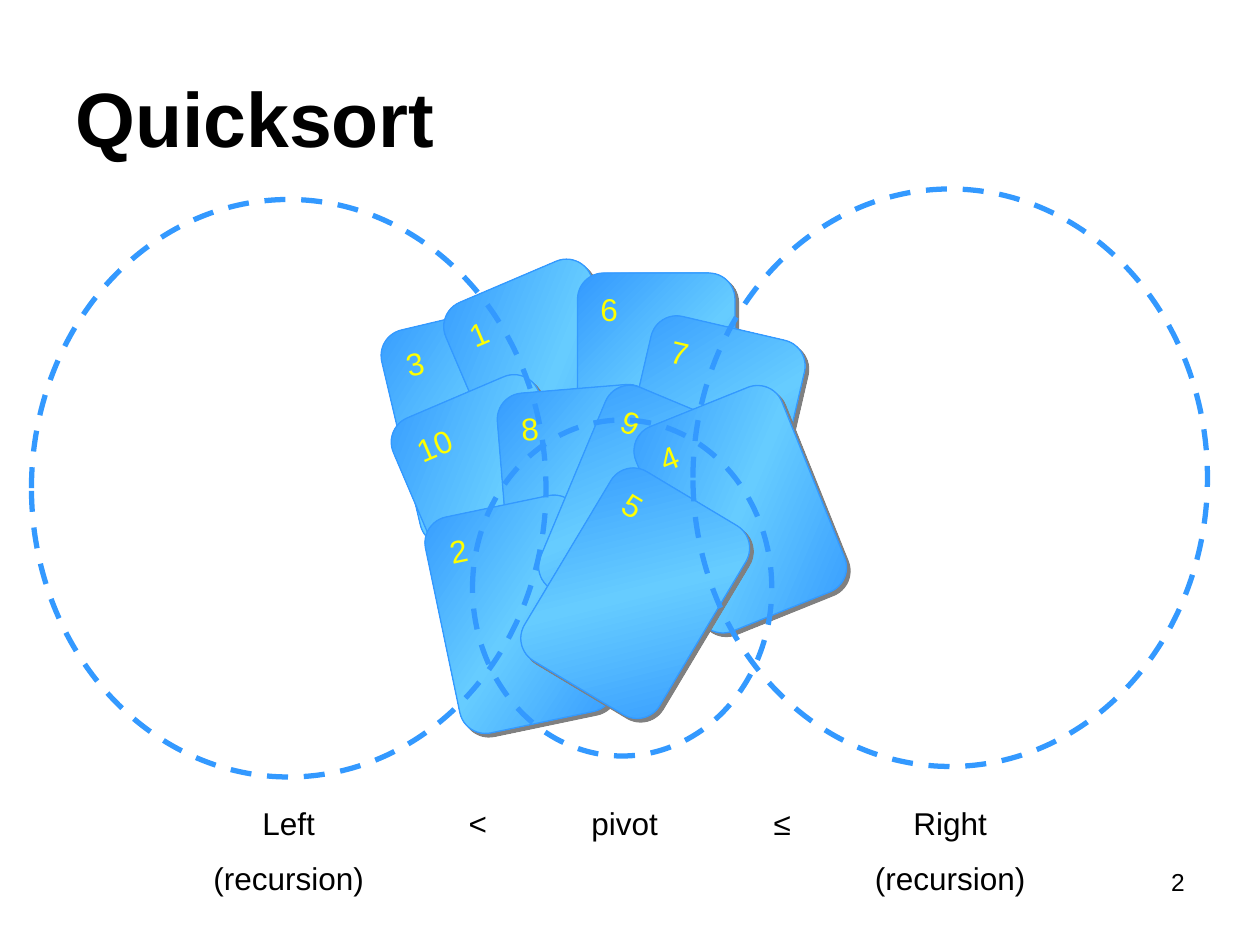
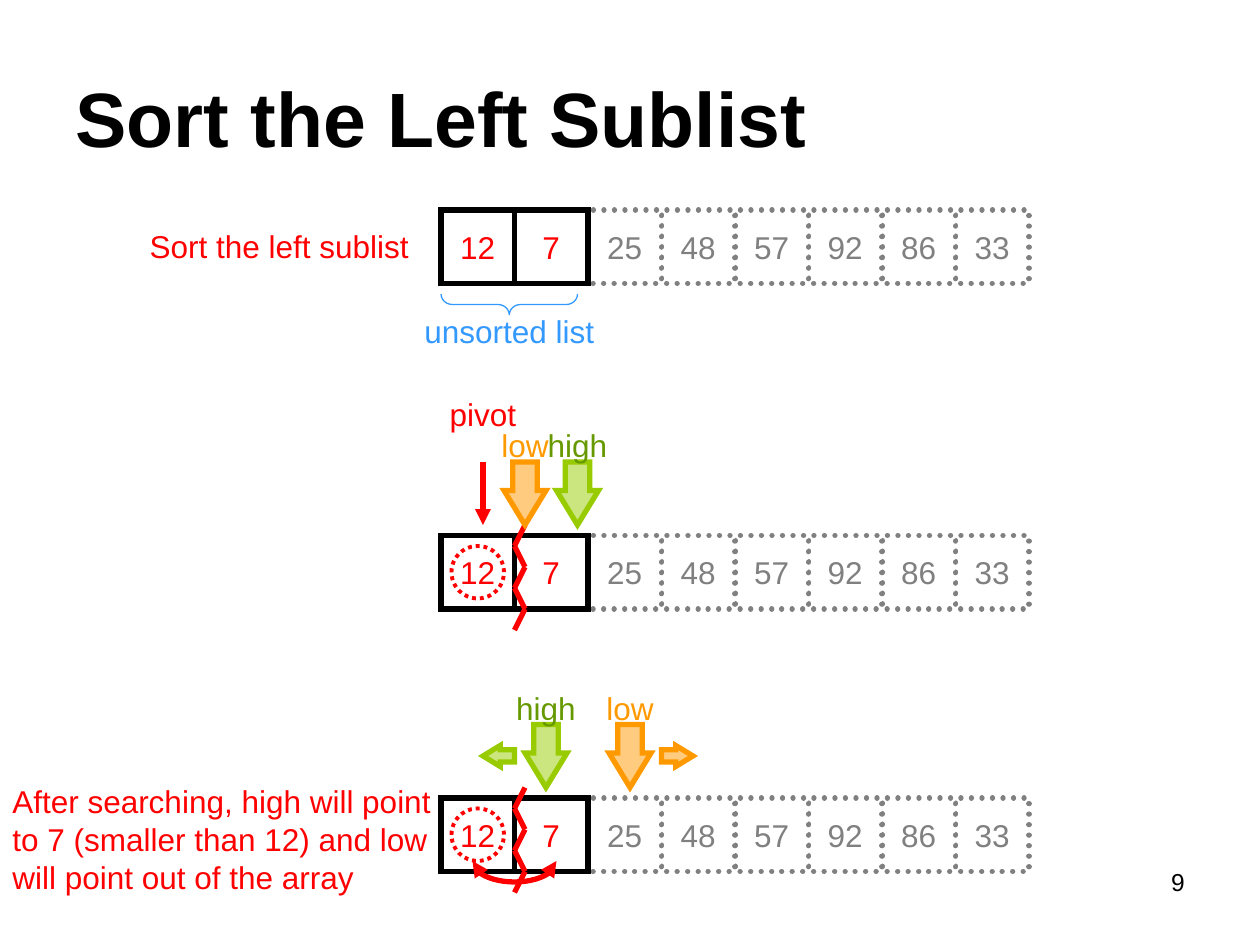
from copy import deepcopy
from dataclasses import dataclass
from math import cos, pi, radians, sin

from lxml import etree
from pptx import Presentation
from pptx import util as u
from pptx.dml.color import RGBColor
from pptx.enum import dml, shapes, text
from pptx.oxml import ns


@dataclass(frozen=True)
class Theme:
    font: str = "Arial"
    title_size: int = 44
    body_size: int = 18
    number_size: int = 14
    ink: str = "000000"
    paper: str = "FFFFFF"
    blue: str = "3399FF"
    sky: str = "66CCFF"
    yellow: str = "FFFF00"
    red: str = "FF0000"
    grey: str = "808080"
    orange: str = "FF9900"
    lime: str = "99CC00"
    green: str = "669900"
    thin: float = 0.75
    medium: float = 2.25
    thick: float = 3


T = Theme()
SHAPE, ALIGN = shapes.MSO_SHAPE, text.PP_ALIGN
MIDDLE = text.MSO_ANCHOR.MIDDLE
DASH, DOT = dml.MSO_LINE.DASH, dml.MSO_LINE.ROUND_DOT

CARDS = [
    ("3", 228, 180, -13.3), ("1", 270, 156, -23.1), ("10", 240, 222, -23.1),
    ("6", 330, 156, 0), ("7", 360, 186, 13.1), ("8", 288, 222, -4.7),
    ("2", 252, 288, -11.8), ("9", 324, 228, 22.7), ("4", 378, 228, -21.9),
    ("5", 318, 276, 30.9),
]
CARD_W, CARD_H = 90, 126
CORNER_W, CORNER_H, CORNER_INSET = 36, 28.8, 6
GROUPS = [(18, 114, 294, 330), (396, 108, 294, 330), (270, 240, 171, 192)]
CAPTIONS = [
    (["Left", "(recursion)"], 90), (["Right", "(recursion)"], 468),
    (["pivot"], 282), (["<"], 198), (["≤"], 372),
]

NUMBERS = [12, 7, 25, 48, 57, 92, 86, 33]
SUBLIST = 2
CELL, ARRAY_LEFT = 42, 252
START_ROW, SEARCH_ROW, RESULT_ROW = 120, 306, 456
POINTERS = {"low": (T.orange, T.orange, 48), "high": (T.lime, T.green, 60)}
SEARCH = [("high", 330), ("low", 300)]
RESULT = [("high", 312), ("low", 360)]
MOVES = [(SHAPE.RIGHT_ARROW, "low", 378), (SHAPE.LEFT_ARROW, "high", 276)]
LINE_H = 28.8


def pts(*lengths):
    return [u.Pt(length) for length in lengths]


def color(code):
    return RGBColor.from_string(code)


def assign(target, values):
    for name, value in values.items():
        setattr(target, name, value)


def write(frame, lines, ink=T.ink, size=T.body_size, bold=False,
          align=ALIGN.CENTER, anchor=text.MSO_ANCHOR.TOP, wrap=True):
    assign(frame, {"word_wrap": wrap, "vertical_anchor": anchor})
    for i, line in enumerate(lines):
        paragraph = frame.paragraphs[0] if i == 0 else frame.add_paragraph()
        assign(paragraph, {"alignment": align, "space_before": u.Pt(9.6 if i else 0)})
        run = paragraph.add_run()
        run.text = line
        assign(run.font, {"name": T.font, "size": u.Pt(size), "bold": bold})
        run.font.color.rgb = color(ink)


def label(slide, lines, box, **look):
    holder = slide.shapes.add_textbox(*pts(*box))
    write(holder.text_frame, lines, **look)
    return holder


def outline(part, ink, width, dash=None):
    part.line.color.rgb = color(ink)
    assign(part.line, {"width": u.Pt(width), "dash_style": dash})
    ln = part.element.spPr.find(ns.qn("a:ln"))
    etree.SubElement(ln, ns.qn("a:miter"), lim="800000")
    return ln


def arrowheads(ln, *ends):
    for end in ends:
        etree.SubElement(ln, ns.qn(f"a:{end}"), type="triangle")


def draw(slide, kind, box, ink, width, dash=None, fill=None):
    part = slide.shapes.add_shape(kind, *pts(*box))
    part.shadow.inherit = False
    if fill:
        part.fill.solid()
        part.fill.fore_color.rgb = color(fill)
    else:
        part.fill.background()
    ln = outline(part, ink, width, dash)
    return part, ln


def stroke(slide, start, end, ink):
    segment = slide.shapes.add_connector(
        shapes.MSO_CONNECTOR.STRAIGHT, *pts(*start, *end))
    ln = outline(segment, ink, T.thick)
    etree.SubElement(segment.element.spPr, ns.qn("a:effectLst"))
    return ln


def new_slide(deck, title, number):
    slide = deck.slides.add_slide(deck.slide_layouts[6])
    label(slide, [title], (36, 21.6, 648, 90), size=T.title_size, bold=True,
          align=ALIGN.LEFT, anchor=MIDDLE)
    label(slide, [str(number)], (516, 492, 168, 37.4), size=T.number_size,
          align=ALIGN.RIGHT)
    return slide


def add_card(slide, value, left, top, angle):
    card, _ = draw(slide, SHAPE.ROUNDED_RECTANGLE, (left, top, CARD_W, CARD_H),
                   T.blue, T.thin)
    card.rotation = angle
    card.fill.gradient()
    card.fill.gradient_angle = 315
    props = card.element.spPr
    stop_list = props.find(".//" + ns.qn("a:gsLst"))
    stop_list.append(deepcopy(stop_list[0]))
    for stop, place, shade in zip(card.fill.gradient_stops, (0, 0.5, 1),
                                  (T.blue, T.sky, T.blue)):
        stop.position = place
        stop.color.rgb = color(shade)
    shadow = etree.SubElement(props.find(ns.qn("a:effectLst")), ns.qn("a:outerShdw"),
                              dist=str(u.Pt(2.8)), dir="2700000", rotWithShape="0")
    etree.SubElement(shadow, ns.qn("a:srgbClr"), val=T.grey)

    turn = radians(angle)
    dx = CORNER_INSET + CORNER_W / 2 - CARD_W / 2
    dy = CORNER_INSET + CORNER_H / 2 - CARD_H / 2
    x = left + CARD_W / 2 + dx * cos(turn) - dy * sin(turn)
    y = top + CARD_H / 2 + dx * sin(turn) + dy * cos(turn)
    corner = label(slide, [value],
                   (x - CORNER_W / 2, y - CORNER_H / 2, CORNER_W, CORNER_H),
                   ink=T.yellow, align=ALIGN.LEFT)
    corner.rotation = angle


def add_array(slide, top):
    for i, number in reversed(list(enumerate(NUMBERS))):
        active = i < SUBLIST
        cell, ln = draw(slide, SHAPE.RECTANGLE, (ARRAY_LEFT + i * CELL, top, CELL, CELL),
                        T.ink if active else T.grey, T.thick,
                        None if active else DOT, T.paper)
        if not active:
            ln.set("cap", "rnd")
        write(cell.text_frame, [str(number)], ink=T.red if active else T.grey,
              anchor=MIDDLE, wrap=False)


def add_split(slide, top):
    draw(slide, SHAPE.OVAL, (258, top + 6, 30, 30), T.red, T.medium, DOT)
    zigzag = [(294 if i % 2 else 300, top - 6 + 12 * i) for i in range(6)]
    for start, end in zip(zigzag, zigzag[1:]):
        stroke(slide, start, end, T.red)


def add_block_arrow(slide, kind, box, shade):
    arrow, _ = draw(slide, kind, box, shade, T.thick, fill=shade)
    arrow.adjustments[0], arrow.adjustments[1] = 0.58, 0.82
    tint = arrow.element.spPr.find(ns.qn("a:solidFill"))[0]
    etree.SubElement(tint, ns.qn("a:alpha"), val="50000")


def add_pointers(slide, pointers, row_top):
    for name, center in pointers:
        shade, ink, width = POINTERS[name]
        add_block_arrow(slide, SHAPE.DOWN_ARROW, (center - 12, row_top - 42, 24, 36), shade)
        label(slide, [name], (center - width / 2, row_top - 66, width, LINE_H), ink=ink)


def add_swap(slide, center, top, rx, ry, steps=24):
    arc = [(center + rx * cos(pi * i / steps), top + ry * sin(pi * i / steps))
           for i in range(steps + 1)]
    builder = slide.shapes.build_freeform(*pts(*arc[0]))
    builder.add_line_segments([pts(*point) for point in arc[1:]], close=False)
    swap = builder.convert_to_shape()
    swap.shadow.inherit = False
    swap.fill.background()
    arrowheads(outline(swap, T.red, T.thick), "headEnd", "tailEnd")


def build_cards(deck):
    slide = new_slide(deck, "Quicksort", 2)
    for card in CARDS:
        add_card(slide, *card)
    for group in GROUPS:
        draw(slide, SHAPE.OVAL, group, T.blue, T.thick, DASH)
    for lines, left in CAPTIONS:
        label(slide, lines, (left, 456, 150, LINE_H + 32 * (len(lines) - 1)))


def build_sublist(deck):
    slide = new_slide(deck, "Sort the Left Sublist", 9)
    for top in (START_ROW, SEARCH_ROW, RESULT_ROW):
        add_array(slide, top)

    label(slide, ["Sort the left sublist "], (78, 126, 168, LINE_H), ink=T.red)
    label(slide, ["unsorted list"], (228, 175, 126, LINE_H), ink=T.blue)
    brace, _ = draw(slide, SHAPE.RIGHT_BRACE, (285, 135, 12, 78), T.blue, T.thin)
    brace.rotation = 90
    brace.adjustments[0] = 0.54

    add_split(slide, SEARCH_ROW)
    label(slide, ["pivot"], (234, 222, 84, LINE_H), ink=T.red)
    arrowheads(stroke(slide, (276, 264), (276, 300), T.red), "tailEnd")
    add_pointers(slide, SEARCH, SEARCH_ROW)

    add_split(slide, RESULT_ROW)
    add_pointers(slide, RESULT, RESULT_ROW)
    label(slide, ["After searching, high will point to 7 (smaller than 12) "
                  "and low will point out of the array"],
          (0, 443.5, 258, 72), ink=T.red, align=ALIGN.LEFT)
    add_swap(slide, 294, 492, 24, 12)
    for kind, name, left in MOVES:
        add_block_arrow(slide, kind, (left, RESULT_ROW - 30, 18, 12), POINTERS[name][0])


def main():
    deck = Presentation()
    assign(deck, {"slide_width": u.Pt(720), "slide_height": u.Pt(540)})
    build_cards(deck)
    build_sublist(deck)
    deck.save("out.pptx")


if __name__ == "__main__":
    main()
